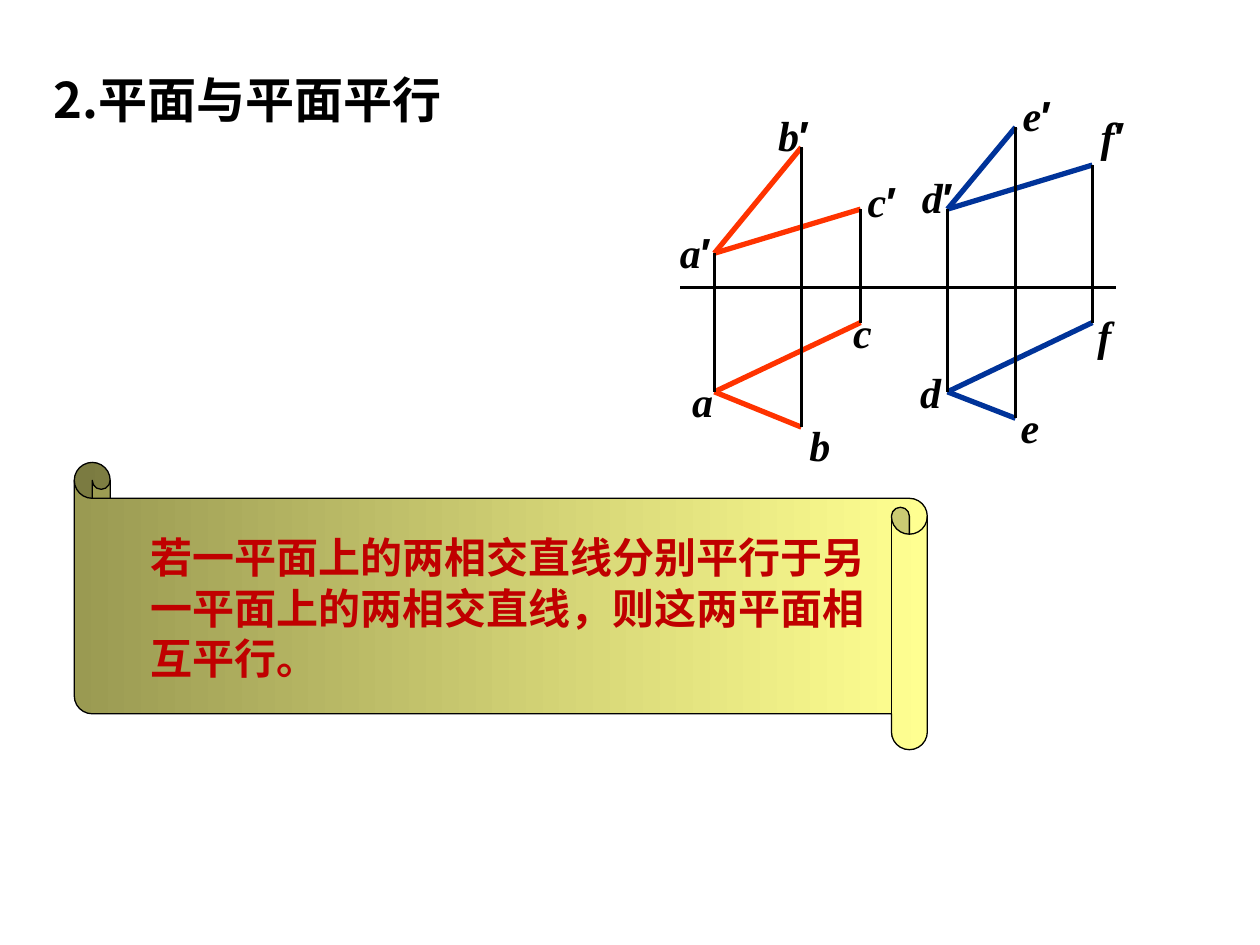
from dataclasses import dataclass

from lxml.etree import SubElement
from pptx import Presentation
from pptx.dml.color import RGBColor as Rgb
from pptx.enum.shapes import MSO_CONNECTOR as Connector, MSO_SHAPE as Preset
from pptx.enum.text import MSO_ANCHOR as Anchor, PP_ALIGN as Align
from pptx.oxml.ns import qn
from pptx.util import Inches, Pt

# Grid of 100 columns by 75 rows on a 10 x 7.5 inch slide
COLUMNS, ROWS = 100, 75
WIDTH, HEIGHT = Inches(10), Inches(7.5)


@dataclass(frozen=True)
class Theme:
    ink: str = "000000"
    first_plane: str = "FF3300"
    second_plane: str = "003399"
    rule_text: str = "C00000"
    scroll_dark: str = "9A9A52"
    scroll_light: str = "FFFF91"
    symbol_font: str = "Times New Roman"
    latin_font: str = "Arial"
    chinese_font: str = "Noto Sans CJK SC"
    title_size: float = 28
    body_size: float = 24
    thin: float = 1.5
    thick: float = 3
    outline: float = 0.75


@dataclass(frozen=True)
class Vertex:
    """A point in both views: shared column, one row and label centre per view."""
    name: str
    column: float
    front_row: float
    top_row: float
    front_label: tuple[float, float]
    top_label: tuple[float, float]


@dataclass(frozen=True)
class Plane:
    """Two lines that meet at the apex."""
    color: str
    apex: Vertex
    ends: tuple[Vertex, Vertex]


THEME = Theme()
AXIS = (54, 88.6, 22.8)
PLANES = (
    Plane(THEME.first_plane,
          Vertex("a", 56.7, 20.1, 31.1, (55.2, 20), (55.7, 31.8)),
          (Vertex("b", 63.6, 11.7, 33.9, (63, 10.7), (65, 35.3)),
           Vertex("c", 68.3, 16.6, 25.6, (70, 15.9), (68.45, 26.3)))),
    Plane(THEME.second_plane,
          Vertex("d", 75.2, 16.6, 31.1, (74.4, 15.6), (73.8, 31.1)),
          (Vertex("e", 80.6, 10.1, 33.2, (82.3, 9.1), (81.75, 33.9)),
           Vertex("f", 86.7, 13.1, 25.6, (88.3, 10.8), (87.65, 26.6)))),
)


def x(columns: float) -> int:
    return round(WIDTH * columns / COLUMNS)


def y(rows: float) -> int:
    return round(HEIGHT * rows / ROWS)


def draw_line(shapes, start: tuple, end: tuple, color: str, width: float) -> None:
    line = shapes.add_connector(Connector.STRAIGHT, x(start[0]), y(start[1]),
                                x(end[0]), y(end[1]))
    line.line.color.rgb = Rgb.from_string(color)
    line.line.width = Pt(width)
    SubElement(line._element.spPr, qn("a:effectLst"))


def add_text(shapes, box: tuple, runs: list[tuple[str, dict]], color: str, size: float,
             wrap: bool = True, anchor=Anchor.MIDDLE, align=Align.LEFT) -> None:
    """Write one bold paragraph; each run carries its own font values."""
    left, top, width, height = box
    frame = shapes.add_textbox(x(left), y(top), x(width), y(height)).text_frame
    frame.word_wrap = wrap
    frame.vertical_anchor = anchor
    paragraph = frame.paragraphs[0]
    paragraph.alignment = align
    for text, own_format in runs:
        run = paragraph.add_run()
        run.text = text
        run.font.color.rgb = Rgb.from_string(color)
        for key, value in {"size": Pt(size), "bold": True, **own_format}.items():
            setattr(run.font, key, value)
        SubElement(run._r.rPr, qn("a:ea"), typeface=THEME.chinese_font)


def add_label(shapes, name: str, centre: tuple[float, float], primed: bool) -> None:
    width, height = (4.7 if primed else 3.5), 5
    runs = [(name, {"name": THEME.symbol_font, "italic": True})]
    if primed:
        runs.append(("′", {"name": THEME.latin_font, "italic": False}))
    box = (centre[0] - width / 2, centre[1] - height / 2, width, height)
    add_text(shapes, box, runs, THEME.ink, THEME.body_size, wrap=False, align=Align.CENTER)


def draw_projection(shapes) -> None:
    left, right, row = AXIS
    draw_line(shapes, (left, row), (right, row), THEME.ink, THEME.thin)
    for plane in PLANES:
        apex = plane.apex
        for end in plane.ends:
            for view in ("front_row", "top_row"):
                draw_line(shapes, (apex.column, getattr(apex, view)),
                          (end.column, getattr(end, view)), plane.color, THEME.thick)
        for vertex in (apex, *plane.ends):
            draw_line(shapes, (vertex.column, vertex.front_row),
                      (vertex.column, vertex.top_row), THEME.ink, THEME.thin)
            add_label(shapes, vertex.name, vertex.front_label, primed=True)
            add_label(shapes, vertex.name, vertex.top_label, primed=False)


def draw_rule(shapes) -> None:
    scroll = shapes.add_shape(Preset.HORIZONTAL_SCROLL, x(5.9), y(36.7), x(67.7), y(22.8))
    scroll.shadow.inherit = False
    scroll.adjustments[0] = 0.125
    scroll._element.spPr.xfrm.set("flipH", "1")
    scroll.fill.gradient()
    scroll.fill.gradient_angle = 180
    for stop, color in zip(scroll.fill.gradient_stops,
                           (THEME.scroll_dark, THEME.scroll_light)):
        stop.color.rgb = Rgb.from_string(color)
    scroll.line.color.rgb = Rgb.from_string(THEME.ink)
    scroll.line.width = Pt(THEME.outline)
    rule = "若一平面上的两相交直线分别平行于另一平面上的两相交直线，则这两平面相互平行。"
    add_text(shapes, (11, 41.7, 59.3, 13), [(rule, {"name": THEME.latin_font})],
             THEME.rule_text, THEME.body_size)


def main() -> None:
    deck = Presentation()
    deck.slide_width, deck.slide_height = WIDTH, HEIGHT
    shapes = deck.slides.add_slide(deck.slide_layouts[6]).shapes
    draw_projection(shapes.add_group_shape().shapes)
    add_text(shapes, (3.3, 5, 45.8, 5.7),
             [("2.平面与平面平行", {"name": THEME.chinese_font})],
             THEME.ink, THEME.title_size, anchor=Anchor.TOP)
    draw_rule(shapes.add_group_shape().shapes)
    deck.save("out.pptx")


if __name__ == "__main__":
    main()
